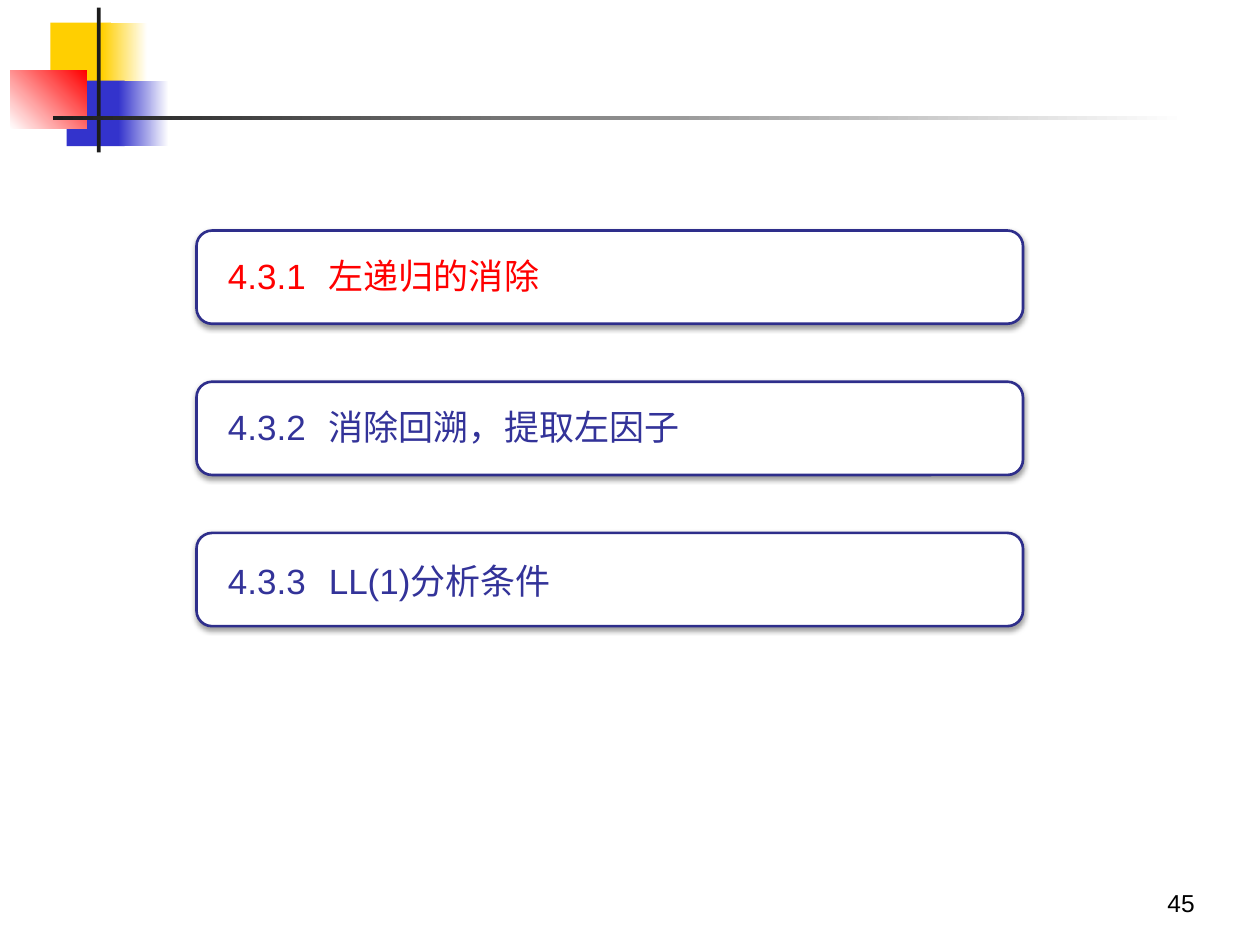
from lxml.etree import SubElement
from pptx import Presentation
from pptx.dml.color import RGBColor
from pptx.enum.shapes import MSO_SHAPE as SHAPE
from pptx.enum.text import MSO_ANCHOR as ANCHOR, PP_ALIGN as ALIGN
from pptx.oxml.ns import qn
from pptx.util import Inches, Pt

COLORS = {"white": "FFFFFF", "black": "000000", "yellow": "FFCF01",
          "blue": "3333CC", "red": "FF0000", "ink": "1C1C1C",
          "border": "2E2E8B", "text": "333399"}


def rgb(name):
    return RGBColor.from_string(COLORS[name])


def add_box(s, kind, box, fill, fade_to=None, angle=0):
    """Add a borderless shape, solid or fading from one colour to another."""
    sp = s.shapes.add_shape(kind, *map(Inches, box))
    sp.line.fill.background()
    sp.shadow.inherit = False
    if fade_to:
        sp.fill.gradient()
        sp.fill.gradient_angle = angle
        stops = sp.fill.gradient_stops
        for stop, name, pos in zip(stops, (fill, fade_to), (0, 1)):
            stop.color.rgb, stop.position = rgb(name), pos
    else:
        sp.fill.solid()
        sp.fill.fore_color.rgb = rgb(fill)
    return sp


def add_text(s, box, text, size, color, frame, para, tab=None):
    tf = s.shapes.add_textbox(*map(Inches, box)).text_frame
    for key, value in {"word_wrap": True, **frame}.items():
        setattr(tf, key, value)
    p = tf.paragraphs[0]
    for key, value in para.items():
        setattr(p, key, value)
    if tab:
        tabs = SubElement(p._p.get_or_add_pPr(), qn("a:tabLst"))
        SubElement(tabs, qn("a:tab"), pos=str(Inches(tab)), algn="l")
    r = p.add_run()
    r.text = text
    for key, value in {"name": "Arial", "size": Pt(size)}.items():
        setattr(r.font, key, value)
    r.font.color.rgb = rgb(color)


def add_shadow(sp):
    effects = sp._element.spPr.find(qn("a:effectLst"))
    shadow = SubElement(effects, qn("a:outerShdw"), blurRad=str(Pt(3.1)),
                        dist=str(Pt(1.6)), dir="5400000", rotWithShape="0")
    color = SubElement(shadow, qn("a:srgbClr"), val=COLORS["black"])
    SubElement(color, qn("a:alpha"), val="38000")


def corner_ornament(s, box):
    """Overlapping squares with a vertical bar and a fading rule."""
    left, top, width = box
    parts = [
        (0.32, 0.12, 0.48, 0.52, "yellow"),
        (0.73, 0.12, 0.36, 0.52, "yellow", "white"),
        (0.45, 0.58, 0.46, 0.52, "blue"),
        (0.86, 0.58, 0.4, 0.52, "blue", "white"),
        (0, 0.5, 0.61, 0.46, "white", "red", 45),
        (0.69, 0, 0.03, 1.15, "ink"),
        (0.34, 0.86, width - 0.34, 0.03, "ink", "white"),
    ]
    for x, y, w, h, *fill in parts:
        add_box(s, SHAPE.RECTANGLE, (left + x, top + y, w, h), *fill)


def agenda_item(s, box, text, color, spacing):
    """Rounded card with a shadow and its section heading."""
    left, top, width, height = box
    card = add_box(s, SHAPE.ROUNDED_RECTANGLE, box, "white")
    card.line.color.rgb = rgb("border")
    card.line.width = Pt(1.5)
    add_shadow(card)
    inner = (left + 0.05, top + 0.04, width - 0.09, height - 0.07)
    frame = {"vertical_anchor": ANCHOR.MIDDLE,
             "margin_left": Inches(0.2), "margin_right": Inches(0.2),
             "margin_top": 0, "margin_bottom": 0}
    add_text(s, inner, text, 20, color, frame, {"line_spacing": spacing}, tab=0.8)


def agenda(s, box, pitch):
    left, top, width, height = box
    items = [("4.3.1\t左递归的消除", "red", 0.9),
             ("4.3.2\t消除回溯，提取左因子", "text", 0.9),
             ("4.3.3\tLL(1)分析条件", "text", 1.0)]
    for i, item in enumerate(items):
        agenda_item(s, (left, top + i * pitch, width, height), *item)


def page_number(s, box):
    add_text(s, box, "45", 14, "black", {"vertical_anchor": ANCHOR.BOTTOM},
             {"alignment": ALIGN.RIGHT})


def main():
    prs = Presentation()
    prs.slide_width, prs.slide_height = Inches(10), Inches(7.5)
    s = prs.slides.add_slide(prs.slide_layouts[6])
    corner_ornament(s, (0.08, 0.06, 9.34))
    page_number(s, (7.5, 6.83, 2.08, 0.5))
    agenda(s, (1.56, 1.83, 6.56, 0.74), pitch=1.2)
    prs.save("out.pptx")


if __name__ == "__main__":
    main()
